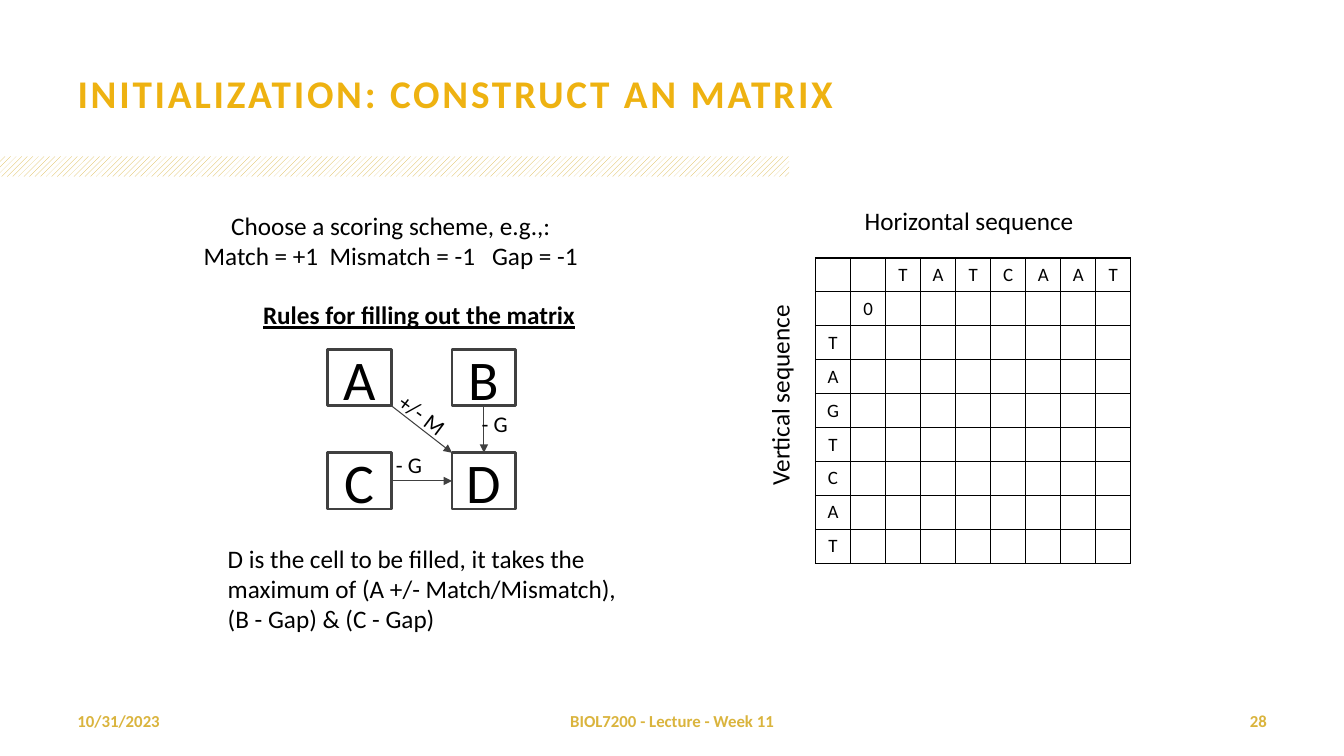
from dataclasses import dataclass
from itertools import product

from lxml import etree
from pptx import Presentation
from pptx.dml.color import RGBColor as RGB
from pptx.enum.dml import MSO_PATTERN
from pptx.enum.shapes import MSO_CONNECTOR, MSO_SHAPE
from pptx.enum.text import MSO_ANCHOR as ANCHOR, PP_ALIGN as ALIGN
from pptx.oxml.ns import qn
from pptx.util import Cm, Pt


@dataclass(frozen=True)
class Theme:
    font: str = "Calibri"
    title: str = "EEB211"
    accent: str = "DAB43D"
    ink: str = "000000"
    line: str = "404040"
    paper: str = "FFFFFF"
    title_size: float = 28
    body_size: float = 18
    label_size: float = 16
    cell_size: float = 13.5
    node_size: float = 40
    footer_size: float = 12


T = Theme()


def rgb(code):
    return RGB.from_string(code)


def assign(obj, values):
    for name, value in values.items():
        setattr(obj, name, value)


def write(tf, text, size, color=T.ink, align=ALIGN.LEFT, **font):
    for i, line in enumerate(text.split("\n")):
        p = tf.paragraphs[0] if i == 0 else tf.add_paragraph()
        p.alignment = align
        r = p.add_run()
        r.text = line
        assign(r.font, {"name": T.font, "size": Pt(size), **font})
        r.font.color.rgb = rgb(color)


def add_text(s, box, text, size, wrap=False, anchor=ANCHOR.TOP, rotation=0, **fmt):
    sp = s.shapes.add_textbox(*map(Cm, box))
    sp.rotation = rotation
    assign(sp.text_frame, {"word_wrap": wrap, "vertical_anchor": anchor})
    write(sp.text_frame, text, size, **fmt)


def add_header(s, x, y, w, h):
    sp = s.shapes.title
    assign(sp, {"left": Cm(x), "top": Cm(y), "width": Cm(w), "height": Cm(h)})
    tf = sp.text_frame
    assign(tf, {"word_wrap": True, "vertical_anchor": ANCHOR.MIDDLE})
    write(tf, "INITIALIZATION: CONSTRUCT AN MATRIX", T.title_size, T.title, bold=True)
    tf.paragraphs[0].runs[0].font._element.set("spc", "200")

    band = s.shapes.add_shape(MSO_SHAPE.RECTANGLE, 0, Cm(y + h), Cm(19.89), Cm(0.51))
    band.shadow.inherit = False
    band.line.fill.background()
    band.fill.patterned()
    band.fill.pattern = MSO_PATTERN.WIDE_UPWARD_DIAGONAL
    band.fill.fore_color.rgb = rgb(T.accent)
    band.fill.back_color.rgb = rgb(T.paper)


def add_footer(s, x, y, w, h):
    side, middle = 7.9, 10.72
    parts = [
        ("10/31/2023", x, side, ALIGN.LEFT),
        ("BIOL7200 - Lecture - Week 11", x + (w - middle) / 2, middle, ALIGN.CENTER),
        ("28", x + w - side, side, ALIGN.RIGHT),
    ]
    for text, left, width, align in parts:
        add_text(s, (left, y, width, h), text, T.footer_size, wrap=True,
                 anchor=ANCHOR.MIDDLE, color=T.accent, align=align, bold=True)


def add_node(s, x, y, w, h, letter):
    sp = s.shapes.add_shape(MSO_SHAPE.RECTANGLE, Cm(x), Cm(y), Cm(w), Cm(h))
    sp.shadow.inherit = False
    sp.fill.background()
    sp.line.color.rgb = rgb(T.line)
    sp.line.width = Pt(2)
    sp.text_frame.vertical_anchor = ANCHOR.MIDDLE
    write(sp.text_frame, letter, T.node_size, align=ALIGN.CENTER)


def add_arrow(s, *ends):
    cn = s.shapes.add_connector(MSO_CONNECTOR.STRAIGHT, *map(Cm, ends))
    cn.line.color.rgb = rgb(T.line)
    cn.line.width = Pt(0.75)
    etree.SubElement(cn.line._get_or_add_ln(), qn("a:tailEnd"), type="triangle")
    etree.SubElement(cn._element.spPr, qn("a:effectLst"))


def add_cell_diagram(s, x, y, w, h):
    nw, nh = 1.61, 1.42
    right, low = x + w - nw, y + h - nh
    for (top, left), letter in zip(product((y, low), (x, right)), "ABCD"):
        add_node(s, left, top, nw, nh, letter)
    add_arrow(s, x + nw, y + nh, right, low)
    add_arrow(s, right + nw / 2, y + nh, right + nw / 2, low)
    add_arrow(s, x + nw, low + nh / 2, right, low + nh / 2)
    labels = [("+/- M", 1.49, 1.17, 1.8, 36.9),
              ("- G", 3.63, 1.4, 1.17, 0),
              ("- G", 1.47, 2.44, 1.17, 0)]
    for text, dx, dy, width, angle in labels:
        add_text(s, (x + dx, y + dy, width, 0.94), text, T.label_size, rotation=angle)


def add_rules(s, x, y, w, h):
    add_text(s, (x, y, 11.58, 1.8),
             "Choose a scoring scheme, e.g.,:\nMatch = +1  Mismatch = -1   Gap = -1",
             T.body_size, wrap=True, align=ALIGN.CENTER)
    add_text(s, (x + 2.32, y + 2.24, 8.46, 1.02), "Rules for filling out the matrix",
             T.body_size, bold=True, underline=True)
    add_cell_diagram(s, x + 4.2, y + 3.63, 4.74, 4.02)
    add_text(s, (x + 1.43, y + h - 2.57, w - 1.43, 2.57),
             "D is the cell to be filled, it takes the maximum of "
             "(A +/- Match/Mismatch), (B - Gap) & (C - Gap)",
             T.body_size, wrap=True)


def set_borders(cell):
    tcPr = cell._tc.get_or_add_tcPr()
    for i, side in enumerate(("lnL", "lnR", "lnT", "lnB")):
        ln = etree.Element(qn(f"a:{side}"), w=str(Pt(1)))
        fill = etree.SubElement(ln, qn("a:solidFill"))
        etree.SubElement(fill, qn("a:srgbClr"), val=T.ink)
        tcPr.insert(i, ln)


def add_matrix(s, x, y, w, h):
    across, down = "TATCAAT", "TAGTCAT"
    letters = {(0, c): base for c, base in enumerate(across, 2)}
    letters |= {(r, 0): base for r, base in enumerate(down, 2)}
    letters[1, 1] = "0"
    rows, cols = len(down) + 2, len(across) + 2
    table = s.shapes.add_table(rows, cols, Cm(x), Cm(y), Cm(w), Cm(h)).table
    assign(table, {"first_row": False, "horz_banding": False})
    for col in table.columns:
        col.width = Cm(w / cols)
    for row in table.rows:
        row.height = Cm(h / rows)
    for r, c in product(range(rows), range(cols)):
        cell = table.cell(r, c)
        assign(cell, {"margin_left": 0, "margin_right": 0, "margin_top": 0,
                      "margin_bottom": 0, "vertical_anchor": ANCHOR.MIDDLE})
        cell.fill.solid()
        cell.fill.fore_color.rgb = rgb(T.paper)
        set_borders(cell)
        if (r, c) in letters:
            write(cell.text_frame, letters[r, c], T.cell_size, align=ALIGN.CENTER)

    add_text(s, (x + 0.99, y - 1.45, 6, 1.02), "Horizontal sequence", T.body_size)
    add_text(s, (x - 3.45, y + 2.92, 5.1, 1.02), "Vertical sequence", T.body_size,
             rotation=270)


def main():
    prs = Presentation()
    assign(prs, {"slide_width": Cm(33.87), "slide_height": Cm(19.05)})
    s = prs.slides.add_slide(prs.slide_layouts[5])
    add_header(s, 1.7, 0.76, 30.48, 3.18)
    add_rules(s, 4.06, 5.18, 12, 10.95)
    add_matrix(s, 20.55, 6.5, 7.95, 7.7)
    add_footer(s, 1.7, 17.65, 30.48, 1.02)
    prs.save("out.pptx")


if __name__ == "__main__":
    main()
